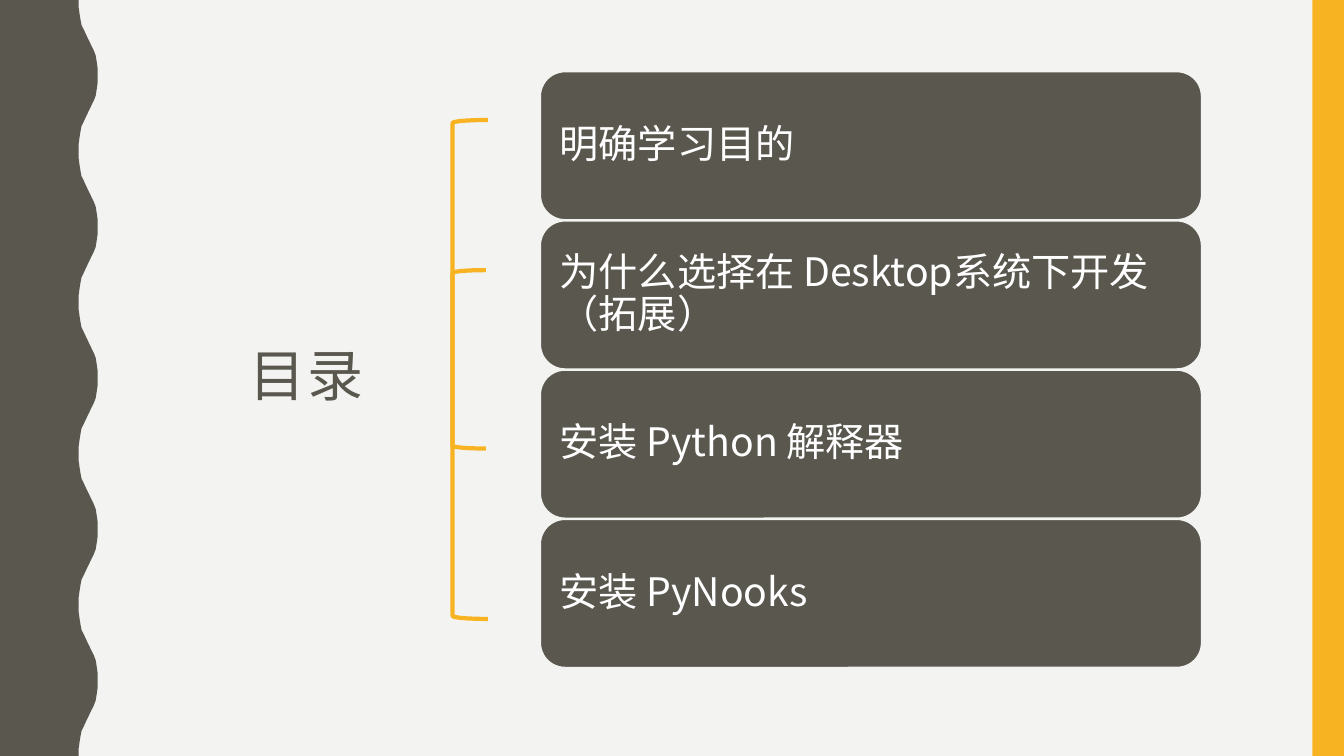
from lxml import etree
from pptx import Presentation
from pptx.dml.color import RGBColor
from pptx.enum import shapes, text
from pptx.oxml import ns
from pptx.util import Pt

TITLE = "目录"
TOPICS = [
    "明确学习目的",
    "为什么选择在 Desktop系统下开发（拓展）",
    "安装 Python 解释器",
    "安装 PyNooks",
]
# left, top, width, height
BRACKETS = [(323.3, 85.7, 25.2, 356.4), (323.3, 193, 23.8, 127.4)]


class Theme:
    paper = RGBColor.from_string("F3F3F2")
    dark = RGBColor.from_string("59574E")
    accent = RGBColor.from_string("F8B323")
    white = RGBColor.from_string("FFFFFF")
    font = "Noto Sans CJK SC"
    title_size = 40
    topic_size = 28


SLIDE_W, SLIDE_H = 960, 540
STRIPE_W = 22.6
TITLE_AREA = (121.7, 56.9, 194.4, 427)
BOX_LEFT, BOX_TOP, BOX_W, BOX_H, BOX_PITCH = 386, 51.2, 472.3, 105.8, 106.6
BOX_INSET = 8.6
WAVE_PERIOD, WAVE_COUNT = 108, 5
# (x, y) along the rising half of one wave; the falling half mirrors it
WAVE_RISE = [
    (56.2, 0), (56.2, 5), (56.9, 10), (57.6, 14.4), (58.3, 18),
    (59.8, 21), (61.2, 24), (62.6, 27), (64.1, 30), (65.5, 33),
    (67, 36), (68.4, 39.6), (69.1, 44), (69.8, 49), (69.8, 54),
]


def style(sp, fill=None, line=None, width=1):
    sp.shadow.inherit = False
    if fill is None:
        sp.fill.background()
    else:
        sp.fill.solid()
        sp.fill.fore_color.rgb = fill
    if line is None:
        sp.line.fill.background()
    else:
        sp.line.color.rgb = line
        sp.line.width = Pt(width)


def add_shape(s, kind, area, **look):
    sp = s.shapes.add_shape(kind, *map(Pt, area))
    style(sp, **look)
    return sp


def write(sp, words, size, color, align):
    tf = sp.text_frame
    tf.text = words
    tf.word_wrap = True
    tf.auto_size = text.MSO_AUTO_SIZE.NONE
    tf.vertical_anchor = text.MSO_ANCHOR.MIDDLE
    p = tf.paragraphs[0]
    p.alignment = align
    p.line_spacing = 0.9
    r = p.runs[0]
    r.font.size = Pt(size)
    r.font.color.rgb = color
    r.font.name = Theme.font
    rpr = r._r.get_or_add_rPr()
    etree.SubElement(rpr, ns.qn("a:ea"), typeface=Theme.font)
    return rpr


def add_wave(s):
    fall = [(x, WAVE_PERIOD - y) for x, y in reversed(WAVE_RISE[:-1])]
    edge = [(x, y + i * WAVE_PERIOD)
            for i in range(WAVE_COUNT) for x, y in WAVE_RISE + fall]
    outline = [(Pt(x), Pt(y)) for x, y in edge + [(0, SLIDE_H)]]
    builder = s.shapes.build_freeform(0, 0)
    builder.add_line_segments(outline, close=True)
    style(builder.convert_to_shape(), fill=Theme.dark)


def main():
    prs = Presentation()
    prs.slide_width, prs.slide_height = Pt(SLIDE_W), Pt(SLIDE_H)
    s = prs.slides.add_slide(prs.slide_layouts.get_by_name("Title Only"))
    s.background.fill.solid()
    s.background.fill.fore_color.rgb = Theme.paper

    add_wave(s)
    kinds = shapes.MSO_SHAPE
    add_shape(s, kinds.RECTANGLE, (SLIDE_W - STRIPE_W, 0, STRIPE_W, SLIDE_H),
              fill=Theme.accent)

    title = s.shapes.title
    title.left, title.top, title.width, title.height = map(Pt, TITLE_AREA)
    rpr = write(title, TITLE, Theme.title_size, Theme.dark, text.PP_ALIGN.CENTER)
    rpr.set("spc", "200")

    for i, topic in enumerate(TOPICS):
        area = (BOX_LEFT, BOX_TOP + i * BOX_PITCH, BOX_W, BOX_H)
        box = add_shape(s, kinds.ROUNDED_RECTANGLE, area,
                        fill=Theme.dark, line=Theme.paper)
        tf = box.text_frame
        tf.margin_left = tf.margin_right = Pt(BOX_INSET)
        tf.margin_top = tf.margin_bottom = Pt(BOX_INSET)
        write(box, topic, Theme.topic_size, Theme.white, text.PP_ALIGN.LEFT)

    for area in BRACKETS:
        add_shape(s, kinds.LEFT_BRACKET, area, line=Theme.accent, width=3)

    prs.save("out.pptx")


if __name__ == "__main__":
    main()
